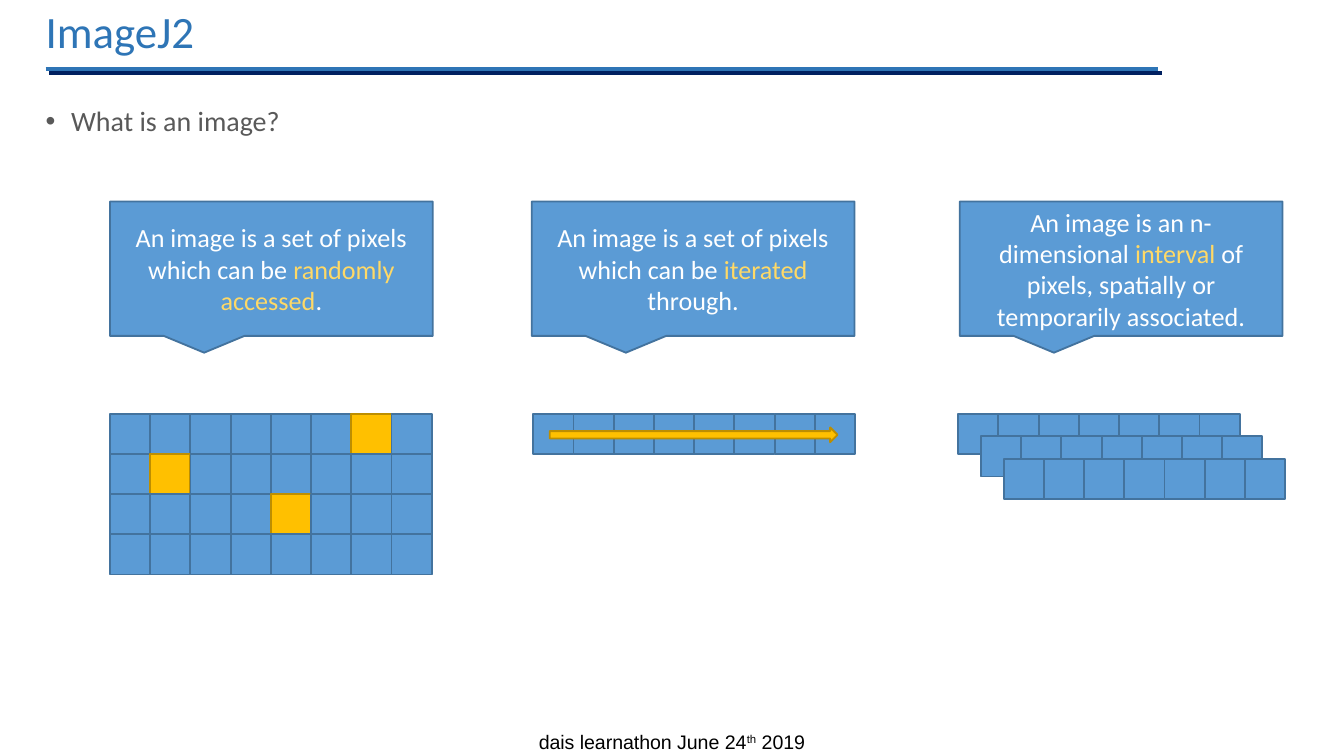
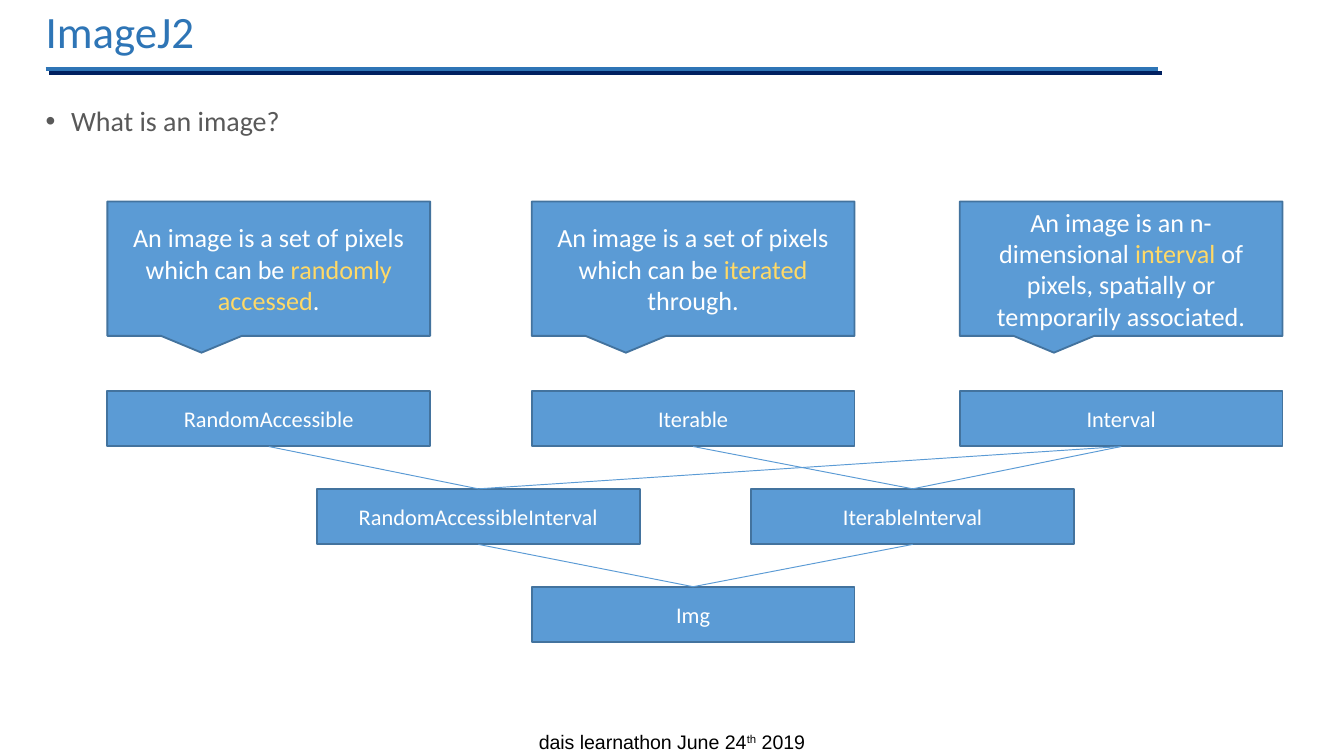
from dataclasses import dataclass
from typing import Any, NamedTuple

from lxml import etree
from pptx import Presentation
from pptx.dml.color import RGBColor
from pptx.enum.shapes import MSO_CONNECTOR, MSO_SHAPE
from pptx.enum.text import MSO_ANCHOR, MSO_AUTO_SIZE, PP_ALIGN
from pptx.oxml.ns import qn
from pptx.util import Cm, Pt

RECTANGLE = MSO_SHAPE.RECTANGLE
CALLOUT = MSO_SHAPE.RECTANGULAR_CALLOUT
RIGHT_ARROW = MSO_SHAPE.RIGHT_ARROW
STRAIGHT = MSO_CONNECTOR.STRAIGHT
TOP, MIDDLE = MSO_ANCHOR.TOP, MSO_ANCHOR.MIDDLE
LEFT, CENTER = PP_ALIGN.LEFT, PP_ALIGN.CENTER
NO_AUTOFIT = MSO_AUTO_SIZE.NONE
TOP_SITE, BOTTOM_SITE = 0, 2  # connection sites of a rectangle


# Colours, fonts and type sizes
@dataclass(frozen=True)
class Theme:
    title: str = "2E75B6"
    rule_shadow: str = "002060"
    body: str = "595959"
    black: str = "000000"
    white: str = "FFFFFF"
    blue: str = "5B9BD5"
    blue_edge: str = "43739E"
    gold: str = "FFC000"
    gold_edge: str = "BD8E00"
    highlight: str = "FFD966"
    font: str = "Calibri"
    footer_font: str = "Arial"
    title_size: float = 24
    body_size: float = 15
    callout_size: float = 14
    box_size: float = 12
    footer_size: float = 10.5
    outline: float = 1
    rule_width: float = 2.25
    link_width: float = 0.5


THEME = Theme()


class Frame(NamedTuple):
    """Left, top, width and height in centimetres."""
    left: float
    top: float
    width: float
    height: float

    def lengths(self) -> list[Cm]:
        return [Cm(value) for value in self]


class Piece(NamedTuple):
    """A run of text with its colour and optional raised baseline."""
    text: str
    color: str = THEME.white
    baseline: int = 0


class Callout(NamedTuple):
    before: str
    keyword: str
    after: str


class Box(NamedTuple):
    name: str
    left: float
    level: int


SLIDE_WIDTH, SLIDE_HEIGHT = 25.4, 14.29
TITLE_FRAME = Frame(0.61, 0, 21.26, 1.3)
BODY_FRAME = Frame(0.61, 1.9, 23.04, 10.97)
FOOTER_FRAME = Frame(0, 13.67, SLIDE_WIDTH, 0.71)
RULE_LEFT, RULE_RIGHT, RULE_TOP = 0.86, 21.89, 1.3

COLUMN_LEFTS = (2.08, 10.05, 18.14)
CLASS_LEFTS = (2.03, 10.05, 18.14)
COLUMN_WIDTH = 6.1
CALLOUT_TOP, CALLOUT_HEIGHT = 3.81, 2.54
CALLOUTS = (
    Callout("An image is a set of pixels which can be ", "randomly accessed", "."),
    Callout("An image is a set of pixels which can be ", "iterated", " through."),
    Callout("An image is an n-dimensional ", "interval",
            " of pixels, spatially or temporarily associated."),
)

PIXEL, PIXELS_TOP = 0.76, 7.82
PICKED_PIXELS = {(0, 6), (1, 1), (2, 4)}  # row, column
LAYER_STEP = 0.43

BOX_TOP, BOX_HEIGHT, LEVEL_STEP = 7.39, 1.05, 1.85
BOXES = (
    Box("RandomAccessible", CLASS_LEFTS[0], 0),
    Box("Iterable", CLASS_LEFTS[1], 0),
    Box("Interval", CLASS_LEFTS[2], 0),
    Box("RandomAccessibleInterval", 5.99, 1),
    Box("IterableInterval", 14.2, 1),
    Box("Img", CLASS_LEFTS[1], 2),
)
LINKS = (
    ("RandomAccessible", "RandomAccessibleInterval"),
    ("Iterable", "IterableInterval"),
    ("Interval", "RandomAccessibleInterval"),
    ("Interval", "IterableInterval"),
    ("RandomAccessibleInterval", "Img"),
    ("IterableInterval", "Img"),
)


# Text and formatting helpers
def set_all(target: Any, formats: dict[str, Any]) -> None:
    for name, value in formats.items():
        setattr(target, name, value)


def write(paragraph: Any, pieces: list[Piece], size: float, font: str = THEME.font) -> None:
    for piece in pieces:
        run = paragraph.add_run()
        run.text = piece.text
        set_all(run.font, {"name": font, "size": Pt(size)})
        run.font.color.rgb = RGBColor.from_string(piece.color)
        if piece.baseline:
            run.font._element.set("baseline", str(piece.baseline))


def add_effects(connector: Any) -> Any:
    return etree.SubElement(connector._element.spPr, qn("a:effectLst"))


def style_line(connector: Any, color: str, width: float) -> None:
    connector.line.color.rgb = RGBColor.from_string(color)
    connector.line.width = Pt(width)


def add_block(shapes: Any, kind: Any, frame: Frame, gold: bool = False) -> Any:
    shape = shapes.add_shape(kind, *frame.lengths())
    fill, edge = (THEME.gold, THEME.gold_edge) if gold else (THEME.blue, THEME.blue_edge)
    shape.shadow.inherit = False
    shape.fill.solid()
    shape.fill.fore_color.rgb = RGBColor.from_string(fill)
    style_line(shape, edge, THEME.outline)
    return shape


def add_label(shape: Any, pieces: list[Piece], size: float) -> None:
    set_all(shape.text_frame, {"word_wrap": True, "vertical_anchor": MIDDLE})
    paragraph = shape.text_frame.paragraphs[0]
    paragraph.alignment = CENTER
    write(paragraph, pieces, size)


# Parts that both slides share
def fill_placeholder(placeholder: Any, frame: Frame, anchor: Any, piece: Piece,
                     size: float, bullet: bool = False) -> None:
    set_all(placeholder, dict(zip(frame._fields, frame.lengths())))
    set_all(placeholder.text_frame, {"word_wrap": True, "auto_size": NO_AUTOFIT,
                                     "vertical_anchor": anchor})
    paragraph = placeholder.text_frame.paragraphs[0]
    if bullet:
        properties = paragraph._p.get_or_add_pPr()
        properties.set("marL", str(Cm(0.48)))
        properties.set("indent", str(Cm(-0.48)))
        etree.SubElement(properties, qn("a:buFont"), typeface=THEME.footer_font)
        etree.SubElement(properties, qn("a:buChar"), char="•")
    set_all(paragraph, {"alignment": LEFT, "line_spacing": 0.9, "space_before": Pt(0)})
    write(paragraph, [piece], size)


def add_title_rule(slide: Any) -> None:
    rule = slide.shapes.add_connector(STRAIGHT, Cm(RULE_LEFT), Cm(RULE_TOP),
                                      Cm(RULE_RIGHT), Cm(RULE_TOP))
    style_line(rule, THEME.title, THEME.rule_width)
    shadow = etree.SubElement(add_effects(rule), qn("a:outerShdw"), dist=str(Pt(3)),
                              dir="2700000", algn="tl", rotWithShape="0")
    etree.SubElement(shadow, qn("a:srgbClr"), val=THEME.rule_shadow)


def add_footer(slide: Any) -> None:
    footer = slide.shapes.add_textbox(*FOOTER_FRAME.lengths())
    footer.text_frame.word_wrap = True
    paragraph = footer.text_frame.paragraphs[0]
    paragraph.alignment = CENTER
    pieces = [Piece("dais learnathon June 24", THEME.black),
              Piece("th", THEME.black, 30000), Piece(" 2019", THEME.black)]
    write(paragraph, pieces, THEME.footer_size, THEME.footer_font)


def add_base_slide(presentation: Any) -> Any:
    slide = presentation.slides.add_slide(presentation.slide_layouts[1])
    add_title_rule(slide)
    add_footer(slide)
    fill_placeholder(slide.shapes.title, TITLE_FRAME, MIDDLE,
                     Piece("ImageJ2", THEME.title), THEME.title_size)
    fill_placeholder(slide.placeholders[1], BODY_FRAME, TOP,
                     Piece("What is an image?", THEME.body), THEME.body_size, bullet=True)
    return slide


def add_callout(shapes: Any, left: float, callout: Callout) -> None:
    frame = Frame(left, CALLOUT_TOP, COLUMN_WIDTH, CALLOUT_HEIGHT)
    pieces = [Piece(callout.before), Piece(callout.keyword, THEME.highlight),
              Piece(callout.after)]
    add_label(add_block(shapes, CALLOUT, frame), pieces, THEME.callout_size)


# Slide 1: pixel drawings
def add_pixels(shapes: Any, left: float, top: float, rows: int, columns: int,
               picked: frozenset | set = frozenset()) -> None:
    for row in range(rows):
        for column in range(columns):
            frame = Frame(left + column * PIXEL, top + row * PIXEL, PIXEL, PIXEL)
            add_block(shapes, RECTANGLE, frame, (row, column) in picked)


def build_pixel_slide(presentation: Any) -> None:
    slide = add_base_slide(presentation)
    groups = []
    for left, callout in zip(COLUMN_LEFTS, CALLOUTS):
        groups.append(slide.shapes.add_group_shape().shapes)
        add_callout(groups[-1], left, callout)
    random_group, iterable_group, interval_group = groups
    add_pixels(random_group, COLUMN_LEFTS[0], PIXELS_TOP, 4, 8, PICKED_PIXELS)
    add_pixels(iterable_group, COLUMN_LEFTS[1] + 0.03, PIXELS_TOP, 1, 8)
    add_block(iterable_group, RIGHT_ARROW, Frame(10.39, 8.08, 5.44, 0.28), gold=True)
    for layer in range(3):
        offset = layer * LAYER_STEP
        add_pixels(interval_group, COLUMN_LEFTS[2] - 0.03 + offset, PIXELS_TOP + offset, 1, 7)


# Slide 2: interface hierarchy
def build_hierarchy_slide(presentation: Any) -> None:
    slide = add_base_slide(presentation)
    for left, callout in zip(CLASS_LEFTS, CALLOUTS):
        add_callout(slide.shapes, left, callout)
    drawn = {}
    for box in BOXES:
        frame = Frame(box.left, BOX_TOP + box.level * LEVEL_STEP, COLUMN_WIDTH, BOX_HEIGHT)
        drawn[box.name] = add_block(slide.shapes, RECTANGLE, frame)
        add_label(drawn[box.name], [Piece(box.name)], THEME.box_size)
    for parent, child in LINKS:
        link = slide.shapes.add_connector(STRAIGHT, 0, 0, 0, 0)
        link.begin_connect(drawn[parent], BOTTOM_SITE)
        link.end_connect(drawn[child], TOP_SITE)
        style_line(link, THEME.blue, THEME.link_width)
        add_effects(link)


def main() -> None:
    presentation = Presentation()
    set_all(presentation, {"slide_width": Cm(SLIDE_WIDTH), "slide_height": Cm(SLIDE_HEIGHT)})
    build_pixel_slide(presentation)
    build_hierarchy_slide(presentation)
    presentation.save("out.pptx")


if __name__ == "__main__":
    main()
